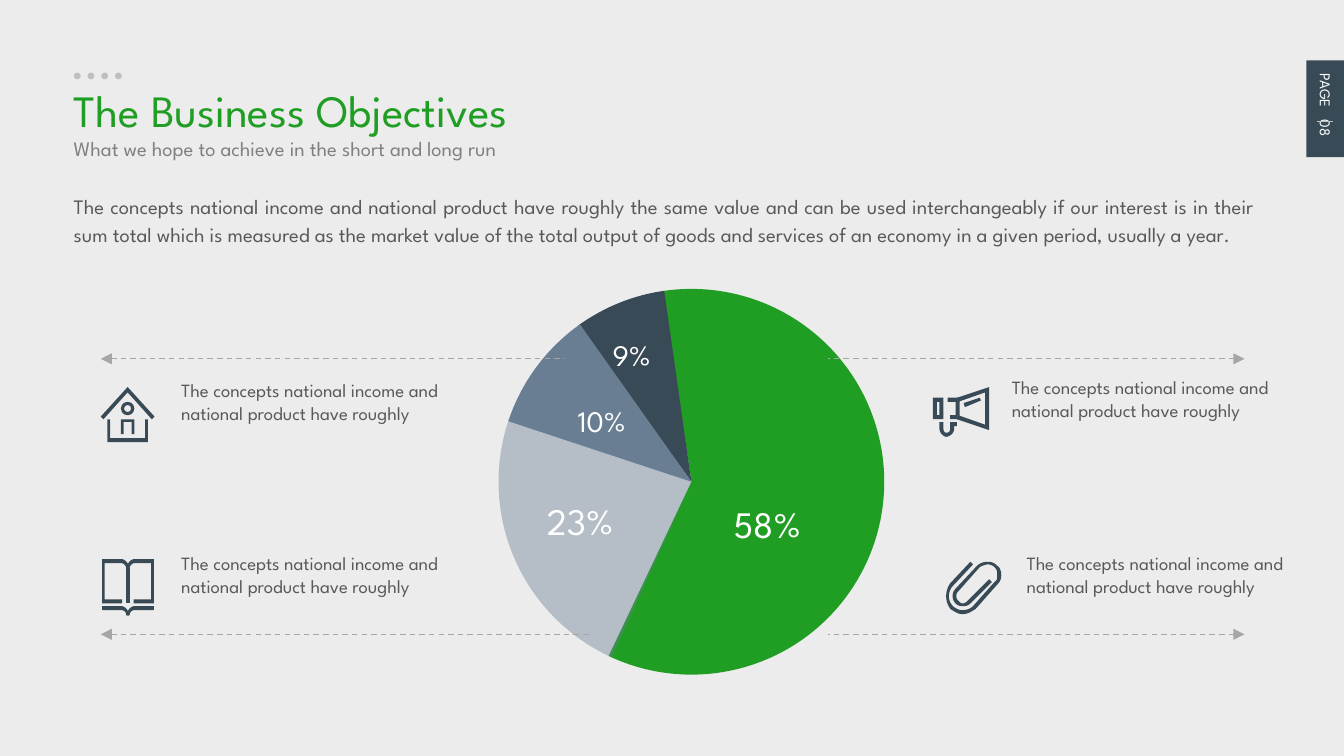
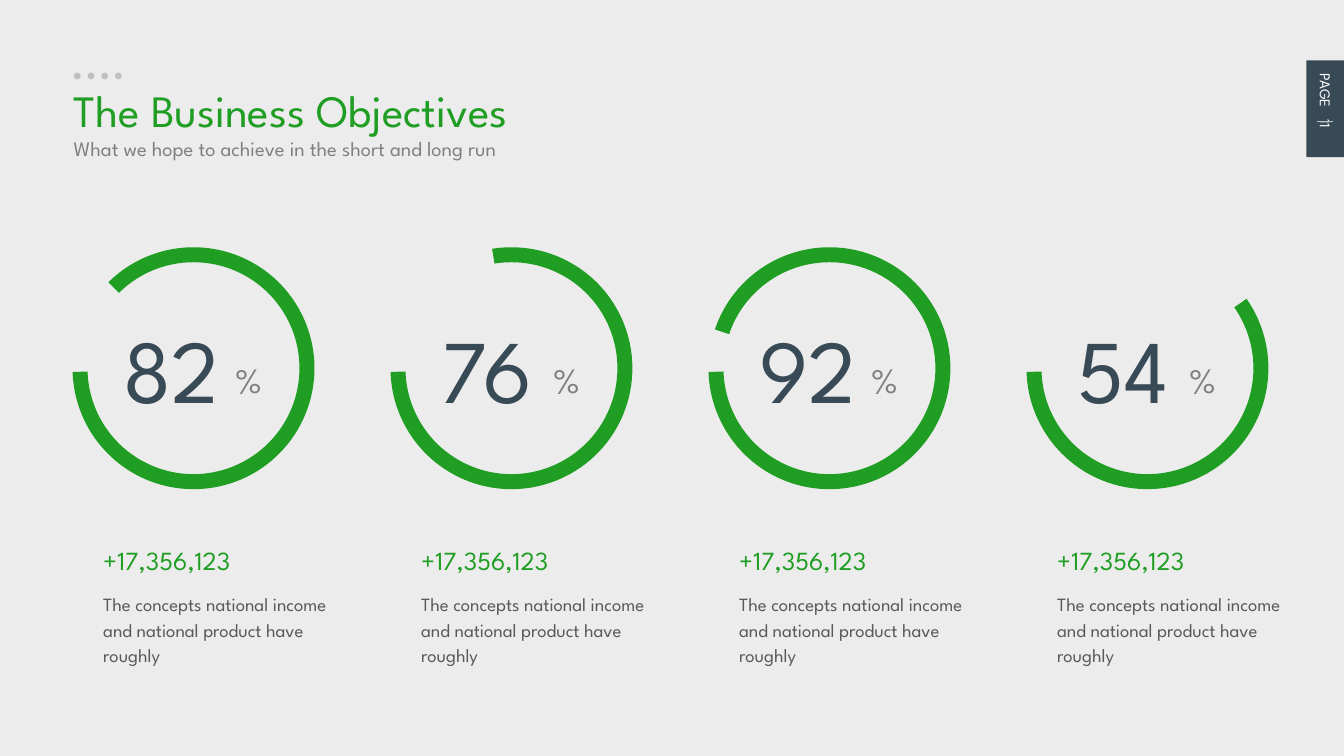
from lxml import etree
from pptx import Presentation
from pptx.dml.color import RGBColor
from pptx.enum.dml import MSO_LINE
from pptx.enum.shapes import MSO_CONNECTOR, MSO_SHAPE
from pptx.enum.text import MSO_AUTO_SIZE, PP_ALIGN
from pptx.oxml.ns import qn
from pptx.util import Inches, Pt

RECT, OVAL, DONUT = MSO_SHAPE.RECTANGLE, MSO_SHAPE.OVAL, MSO_SHAPE.DONUT
PIE, BLOCK_ARC = MSO_SHAPE.PIE, MSO_SHAPE.BLOCK_ARC
STRAIGHT, DASH = MSO_CONNECTOR.STRAIGHT, MSO_LINE.DASH
JUSTIFY = PP_ALIGN.JUSTIFY
GROW = MSO_AUTO_SIZE.SHAPE_TO_FIT_TEXT

GREEN = RGBColor(0x1F, 0x9E, 0x23)
NAVY = RGBColor(0x39, 0x4A, 0x57)
STEEL = RGBColor(0x69, 0x7E, 0x92)
WHITE = RGBColor(0xFF, 0xFF, 0xFF)
VEIL = RGBColor(0xD9, 0xD9, 0xD9)
DOT_GREY = RGBColor(0xBF, 0xBF, 0xBF)
ARROW_GREY = RGBColor(0xA6, 0xA6, 0xA6)
SUBTITLE_GREY = RGBColor(0x80, 0x80, 0x80)
BODY_GREY = RGBColor(0x59, 0x59, 0x59)

FONT = "League Spartan"
SLIDE_W, SLIDE_H = Inches(10), Inches(5.625)
COLUMNS = 100
ROWS = COLUMNS * SLIDE_H / SLIDE_W
UNIT = SLIDE_W / COLUMNS
ICON_UNIT = UNIT / 10
ANGLE_UNIT = 0.6  # adjustment value of one degree
CURVE_STEPS = 8

TITLE = "The Business Objectives"
SUBTITLE = "What we hope to achieve in the short and long run"
CAPTION = "The concepts national income and national product have roughly"
INTRO = (CAPTION + " the same value and can be used interchangeably if our interest "
         "is in their sum total which is measured as the market value of the total "
         "output of goods and services of an economy in a given period, usually a year.")
GAIN = "+17,356,123"

# Outlines in icon units: a pair is a corner, six numbers are a Bézier curve.
HOUSE = [
    [[(35, 41), (5, 41), (5, 24), (7, 24), (7, 38), (33, 38), (33, 24), (35, 24)]],
    [[(38, 24), (20, 4), (2, 24), (0, 22), (20, 0), (40, 22)]],
    [[(25, 35), (23, 35), (23, 26), (17, 26), (17, 35), (15, 35), (15, 24), (25, 24)]],
]
LEFT_PAGE = [(15, 33), (0, 33), (0, 0), (14, 0), (17, 0, 20, 3, 20, 7), (18, 7),
             (18, 5, 16, 3, 14, 3), (2, 3), (2, 30), (15, 30)]
LEFT_COVER = [(20, 42), (18, 42), (18, 39, 16, 38, 14, 38), (0, 38), (0, 35),
              (14, 35), (17, 35, 20, 38, 20, 42)]
SPINE = [(18, 7), (21, 7), (21, 33), (18, 33)]
BOOK_WIDTH = 38.5
MEGAPHONE = [
    [[(20, 24), (13, 24), (13, 21), (17, 21), (17, 11), (11, 11), (11, 8), (20, 8)]],
    [[(42, 32), (18, 24), (19, 21), (39, 28), (39, 4), (19, 11), (18, 8), (42, 0)]],
    [[(24, 15), (23, 12), (35, 8), (36, 10)]],
    [[(8, 24), (0, 24), (0, 8), (8, 8)], [(3, 21), (5, 21), (5, 11), (3, 11)]],
    [[(10, 37), (8, 37, 5, 34, 5, 31), (5, 26), (8, 26), (8, 31),
      (8, 33, 9, 34, 10, 34), (12, 34, 13, 33, 13, 31), (13, 26), (18, 26),
      (18, 29), (16, 29), (16, 31), (16, 34, 13, 37, 10, 37)]],
]
CLIP = [[[
    (12, 39), (9, 39, 6, 37, 3, 35), (1, 32, 0, 29, 0, 26), (0, 22, 1, 19, 3, 16),
    (18, 0), (20, 2), (5, 18), (3, 20, 2, 23, 2, 26), (2, 28, 3, 31, 5, 33),
    (7, 35, 10, 36, 12, 36), (15, 36, 18, 35, 20, 33), (36, 15),
    (38, 14, 38, 12, 38, 10), (38, 8, 38, 6, 36, 4), (35, 3, 33, 2, 31, 2),
    (29, 2, 27, 3, 25, 4), (9, 22), (7, 24, 7, 27, 9, 29), (10, 30, 11, 31, 12, 31),
    (14, 31, 15, 30, 16, 29), (32, 13), (34, 15), (18, 31), (16, 33, 14, 33, 12, 33),
    (11, 33, 9, 33, 7, 31), (4, 28, 4, 23, 7, 20), (23, 3), (25, 1, 28, 0, 31, 0),
    (34, 0, 36, 1, 38, 3), (40, 4, 41, 7, 41, 10), (41, 13, 40, 15, 38, 17),
    (22, 35), (19, 37, 16, 39, 12, 39)]]]

# start angle, end angle, colour, opacity in percent
WEDGES = [(261.6, 115.4, GREEN, 100), (234.2, 261.9, NAVY, 100),
          (198.3, 234.7, STEEL, 100), (114.4, 198.9, STEEL, 42)]
# share, box, text size
SHARES = [("10%", (42, 29.5, 6.2, 3.7), 16), ("9%", (44.6, 24.6, 5, 3.7), 16),
          ("58%", (53.6, 36.8, 7.3, 4.4), 20), ("23%", (39.7, 36.6, 7.3, 4.4), 20)]
# value, angle where its ring ends
RINGS = [("82", 225.3), ("76", 260.8), ("92", 198.7), ("54", 325)]
RING_STEP = 23.66


def units(*lengths):
    return [round(length * UNIT) for length in lengths]


def paint(shape, color, opacity=100):
    shape.shadow.inherit = False
    shape.fill.solid()
    shape.fill.fore_color.rgb = color
    shape.line.fill.background()
    if opacity < 100:
        srgb = shape.fill._xPr.find(qn("a:solidFill")).find(qn("a:srgbClr"))
        etree.SubElement(srgb, qn("a:alpha"), val=str(opacity * 1000))


def add_preset(slide, kind, box, color, adjustments=(), opacity=100):
    shape = slide.shapes.add_shape(kind, *units(*box))
    for index, value in enumerate(adjustments):
        shape.adjustments[index] = value
    paint(shape, color, opacity)


def add_text(slide, text, box, size, color, wrap=False, rotation=0, tab=None, **layout):
    """Add a one-paragraph text box; layout holds paragraph attributes."""
    label = slide.shapes.add_textbox(*units(*box))
    label.rotation = rotation
    frame = label.text_frame
    frame.word_wrap = wrap
    frame.auto_size = GROW
    paragraph = frame.paragraphs[0]
    for name, value in layout.items():
        setattr(paragraph, name, value)
    if tab:
        stops = etree.SubElement(paragraph._p.get_or_add_pPr(), qn("a:tabLst"))
        etree.SubElement(stops, qn("a:tab"), pos=str(units(tab)[0]), algn="l")
    run = paragraph.add_run()
    run.text = text
    for name, value in {"name": FONT, "size": Pt(size)}.items():
        setattr(run.font, name, value)
    run.font.color.rgb = color


def add_rule(slide, start, end, color, weight):
    rule = slide.shapes.add_connector(STRAIGHT, *units(*start, *end))
    rule.line.color.rgb = color
    rule.line.width = Pt(weight)
    etree.SubElement(rule._element.spPr, qn("a:effectLst"))
    return rule


def add_dashed_arrow(slide, tip, end):
    arrow = add_rule(slide, tip, end, ARROW_GREY, 0.75)
    arrow.line.dash_style = DASH
    etree.SubElement(arrow.line._get_or_add_ln(), qn("a:headEnd"), type="triangle")


def flatten(contour):
    """Turn corners and Bézier curves into plain points."""
    points = []
    for step in contour:
        if len(step) == 2:
            points.append(step)
            continue
        x0, y0 = points[-1]
        x1, y1, x2, y2, x3, y3 = step
        for index in range(1, CURVE_STEPS + 1):
            t = index / CURVE_STEPS
            a, b, c, d = (1 - t) ** 3, 3 * t * (1 - t) ** 2, 3 * t * t * (1 - t), t ** 3
            points.append((a * x0 + b * x1 + c * x2 + d * x3,
                           a * y0 + b * y1 + c * y2 + d * y3))
    return points


def mirror(contour):
    return [tuple(BOOK_WIDTH - value if index % 2 == 0 else value
                  for index, value in enumerate(step)) for step in contour]


def add_icon(slide, parts, left, top):
    origin_x, origin_y = units(left, top)
    for contours in parts:
        builder = None
        for contour in contours:
            points = [(origin_x + x * ICON_UNIT, origin_y + y * ICON_UNIT)
                      for x, y in flatten(contour)]
            if builder is None:
                builder = slide.shapes.build_freeform(*points[0])
            else:
                builder.move_to(*points[0])
            builder.add_line_segments(points[1:], close=True)
        paint(builder.convert_to_shape(), NAVY)


def add_frame(slide, page):
    """Add what every slide shares: veil, dots, heading and page tab."""
    add_preset(slide, RECT, (0, 0, COLUMNS, ROWS), VEIL, opacity=48)
    for index in range(4):
        add_preset(slide, OVAL, (5.5 + 1.02 * index, 5.4, 0.5, 0.5), DOT_GREY)
    add_text(slide, TITLE, (4.5, 5.7, 39.8, 5), 24, GREEN)
    add_text(slide, SUBTITLE, (4.5, 9.6, 40.2, 2.9), 11, SUBTITLE_GREY)
    add_preset(slide, RECT, (97.2, 4.5, 2.8, 7.2), NAVY)
    add_text(slide, f"PAGE\t{page}", (95, 6.9, 7.2, 2.4), 8, WHITE,
             wrap=True, rotation=90, tab=3.4)
    add_rule(slide, (98, 9), (99.2, 9), DOT_GREY, 0.25)


def add_pie(slide):
    for start, end, color, opacity in WEDGES:
        add_preset(slide, PIE, (37.1, 21.5, 28.7, 28.7), color,
                   (start * ANGLE_UNIT, end * ANGLE_UNIT), opacity)
    for share, box, size in SHARES:
        add_text(slide, share, box, size, WHITE)


def add_objective(slide, icon, icon_at, caption_at, tip, end):
    add_icon(slide, icon, *icon_at)
    add_text(slide, CAPTION, (*caption_at, 21.5, 6.1), 10, BODY_GREY, wrap=True)
    add_dashed_arrow(slide, tip, end)


def add_ring(slide, index, value, end_angle):
    left = 5.4 + index * RING_STEP
    add_preset(slide, BLOCK_ARC, (left, 18.4, 18, 18), GREEN,
               (end_angle * ANGLE_UNIT, 178.2 * ANGLE_UNIT, 0.062))
    add_text(slide, value, (left + 2.8, 22.9, 9.5, 9.1), 48, NAVY)
    add_text(slide, "%", (left + 11.1, 26.1, 4.2, 4.4), 20, SUBTITLE_GREY)
    add_text(slide, CAPTION, (left + 1.3, 43.4, 20, 6.8), 10, BODY_GREY,
             wrap=True, line_spacing=1.14)
    add_text(slide, GAIN, (left + 1.3, 40, 13, 3.4), 14, GREEN)


def add_pie_slide(slide):
    add_frame(slide, "08")
    add_pie(slide)
    halves = [LEFT_PAGE, LEFT_COVER]
    book = [[SPINE]] + [[half] for half in halves + [mirror(half) for half in halves]]
    upper, lower, left_tip, right_tip, right_end = 26.7, 47.2, 7.5, 92.6, 61.6
    objectives = [
        (HOUSE, (7.5, 28.8), (12.5, 27.7), (left_tip, upper), (42, upper)),
        (book, (7.6, 41.6), (12.5, 40.6), (left_tip, lower), (44, lower)),
        (MEGAPHONE, (69.4, 28.8), (74.3, 27.5), (right_tip, upper), (right_end, upper)),
        (CLIP, (70.4, 41.8), (75.4, 40.6), (right_tip, lower), (right_end, lower)),
    ]
    for objective in objectives:
        add_objective(slide, *objective)
    add_preset(slide, DONUT, (9, 29.9, 1, 1), NAVY, (0.24,))
    add_text(slide, INTRO, (4.5, 13.7, 89.9, 7.2), 11, BODY_GREY,
             wrap=True, alignment=JUSTIFY, line_spacing=1.14)


def add_ring_slide(slide):
    add_frame(slide, "11")
    for index, (value, end_angle) in enumerate(RINGS):
        add_ring(slide, index, value, end_angle)


def main():
    deck = Presentation()
    deck.slide_width, deck.slide_height = SLIDE_W, SLIDE_H
    blank = deck.slide_layouts[6]
    for fill_slide in (add_pie_slide, add_ring_slide):
        fill_slide(deck.slides.add_slide(blank))
    deck.save("out.pptx")


if __name__ == "__main__":
    main()
